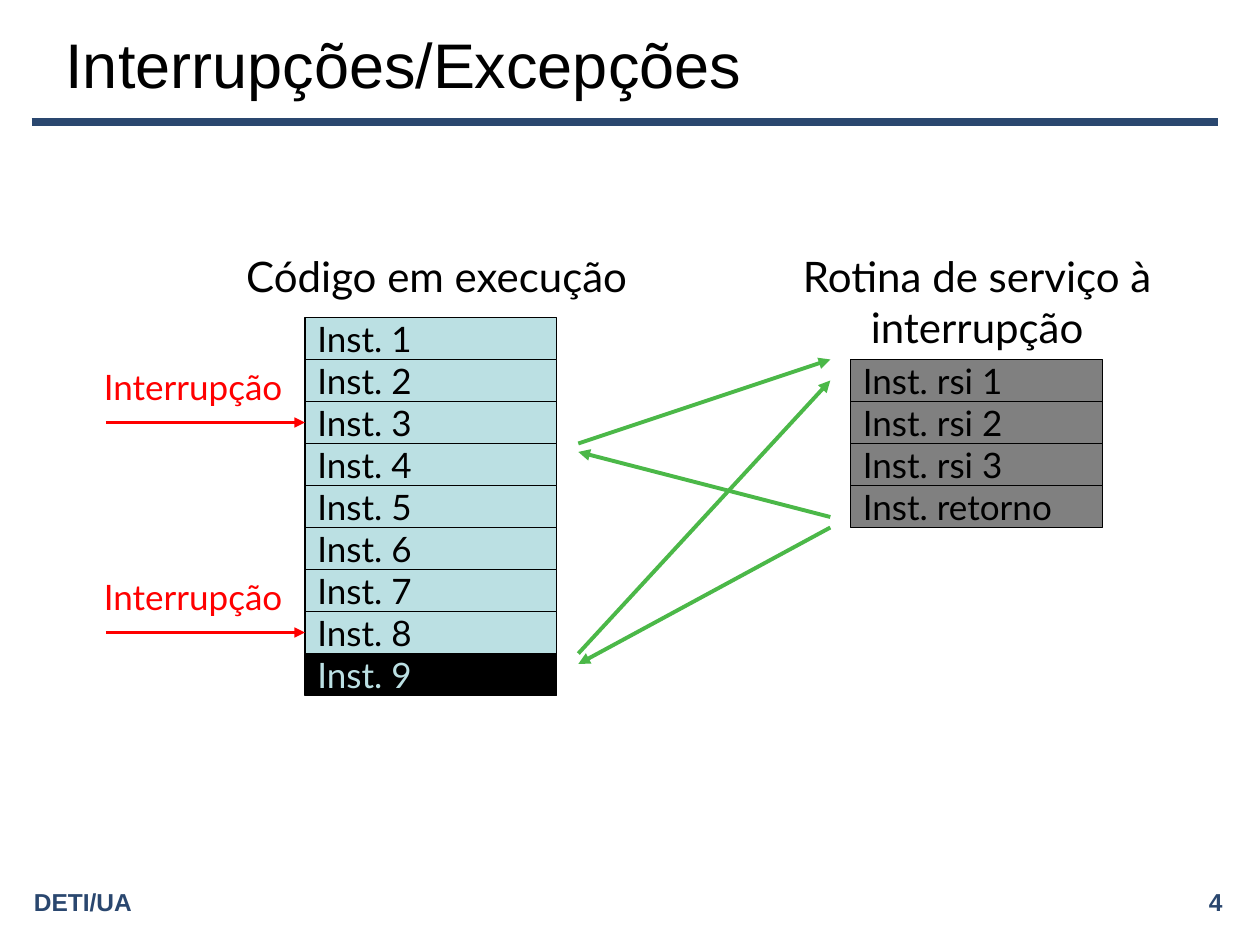
from dataclasses import dataclass

from lxml import etree
from pptx import Presentation
from pptx import util as u
from pptx.dml import color
from pptx.enum import shapes, text
from pptx.oxml import ns


@dataclass(frozen=True)
class Theme:
    """Colours, fonts and type sizes of the slide."""
    navy: str = "2A476F"
    red: str = "FF0000"
    green: str = "4BB848"
    pale: str = "BBE0E3"
    grey: str = "808080"
    black: str = "000000"
    sans: str = "Arial"
    body: str = "Lato"
    title: int = 36
    head: int = 24
    code: int = 20
    foot: int = 14


T = Theme()
ROW = 1 / 3
TOP = 2.52
CODE, ISR, WIDE = 2.42, 6.75, 2
LEFT, RIGHT = 4.59, 6.59
ALIGN = text.PP_ALIGN


def row(n):
    """Return the top of a grid row in inches."""
    return TOP + n * ROW


def inch(*vals):
    """Turn numbers into inch lengths."""
    return [u.Inches(v) for v in vals]


def rgb(code):
    """Return a colour from its hex code."""
    return color.RGBColor.from_string(code)


def write(shape, words, size=T.code, font=T.body, ink=T.black, bold=False,
          align=ALIGN.LEFT, anchor=text.MSO_ANCHOR.MIDDLE):
    """Put formatted text in a shape."""
    frame = shape.text_frame
    frame.word_wrap = True
    frame.vertical_anchor = anchor
    para = frame.paragraphs[0]
    para.text = words
    para.alignment = align
    for run in para.runs:
        run.font.size = u.Pt(size)
        run.font.name = font
        run.font.bold = bold
        run.font.color.rgb = rgb(ink)


def label(slide, box, words, **form):
    """Add a text box."""
    write(slide.shapes.add_textbox(*inch(*box)), words, **form)


def line(slide, start, end, ink, width, head=True):
    """Add a straight line, with an arrowhead by default."""
    link = slide.shapes.add_connector(
        shapes.MSO_CONNECTOR.STRAIGHT, *inch(*start, *end))
    link.line.color.rgb = rgb(ink)
    link.line.width = u.Pt(width)
    if head:
        etree.SubElement(link.line._get_or_add_ln(), ns.qn("a:tailEnd"),
                         type="triangle")
    etree.SubElement(link._element.spPr, ns.qn("a:effectLst"))
    return link


def cell(slide, left, n, words, fill, ink=T.black):
    """Add one instruction box on a grid row."""
    box = slide.shapes.add_shape(
        shapes.MSO_SHAPE.RECTANGLE, *inch(left, row(n), WIDE, ROW))
    box.shadow.inherit = False
    box.fill.solid()
    box.fill.fore_color.rgb = rgb(fill)
    box.line.color.rgb = rgb(T.black)
    box.line.width = u.Pt(0.75)
    write(box, words, ink=ink)
    return box


def signal(slide, box, n):
    """Add an interrupt label and its arrow into an instruction."""
    mid = row(n + 0.5)
    link = line(slide, (0.84, mid), (CODE, mid), T.red, 1.5)
    link.end_connect(box, 1)
    label(slide, (0.67, mid - 0.5, 1.67, 0.43), "Interrupção", ink=T.red,
          align=ALIGN.RIGHT, anchor=text.MSO_ANCHOR.TOP)


def frame(slide):
    """Set the title, rule and footer."""
    title = slide.shapes.title
    title.left, title.top, title.width, title.height = inch(
        0.42, 0.17, 8.75, 0.67)
    write(title, "Interrupções/Excepções", size=T.title, font=T.sans)
    line(slide, (0.25, 0.97), (9.67, 0.97), T.navy, 4.5, head=False)
    for left, words, align in ((0.17, "DETI/UA", ALIGN.LEFT),
                               (5.92, "4", ALIGN.RIGHT)):
        label(slide, (left, 7, 3.88, 0.31), words, size=T.foot, font=T.sans,
              ink=T.navy, bold=True, align=align)


def main():
    """Build the slide and save it."""
    deck = Presentation()
    deck.slide_width, deck.slide_height = inch(10, 7.5)
    slide = deck.slides.add_slide(deck.slide_layouts[5])
    frame(slide)

    for box, words in (((1.84, 1.94, 3.25, 0.5), "Código em execução"),
                       ((6.09, 1.94, 3.33, 0.9),
                        "Rotina de serviço à\ninterrupção")):
        label(slide, box, words, size=T.head, align=ALIGN.CENTER,
              anchor=text.MSO_ANCHOR.TOP)

    code = [cell(slide, CODE, n, f"Inst. {n + 1}", T.pale) for n in range(8)]
    cell(slide, CODE, 8, "Inst. 9", T.black, ink=T.pale)
    for n, name in enumerate(("rsi 1", "rsi 2", "rsi 3", "retorno"), 1):
        cell(slide, ISR, n, f"Inst. {name}", T.grey)

    for n in (2, 7):
        signal(slide, code[n], n)

    for x, a, end, b in ((LEFT, 3, RIGHT, 1), (RIGHT, 4.75, LEFT, 3.2),
                         (LEFT, 8, RIGHT, 1.5), (RIGHT, 5, LEFT, 8.25)):
        line(slide, (x, row(a)), (end, row(b)), T.green, 2.25)

    deck.save("out.pptx")


if __name__ == "__main__":
    main()
